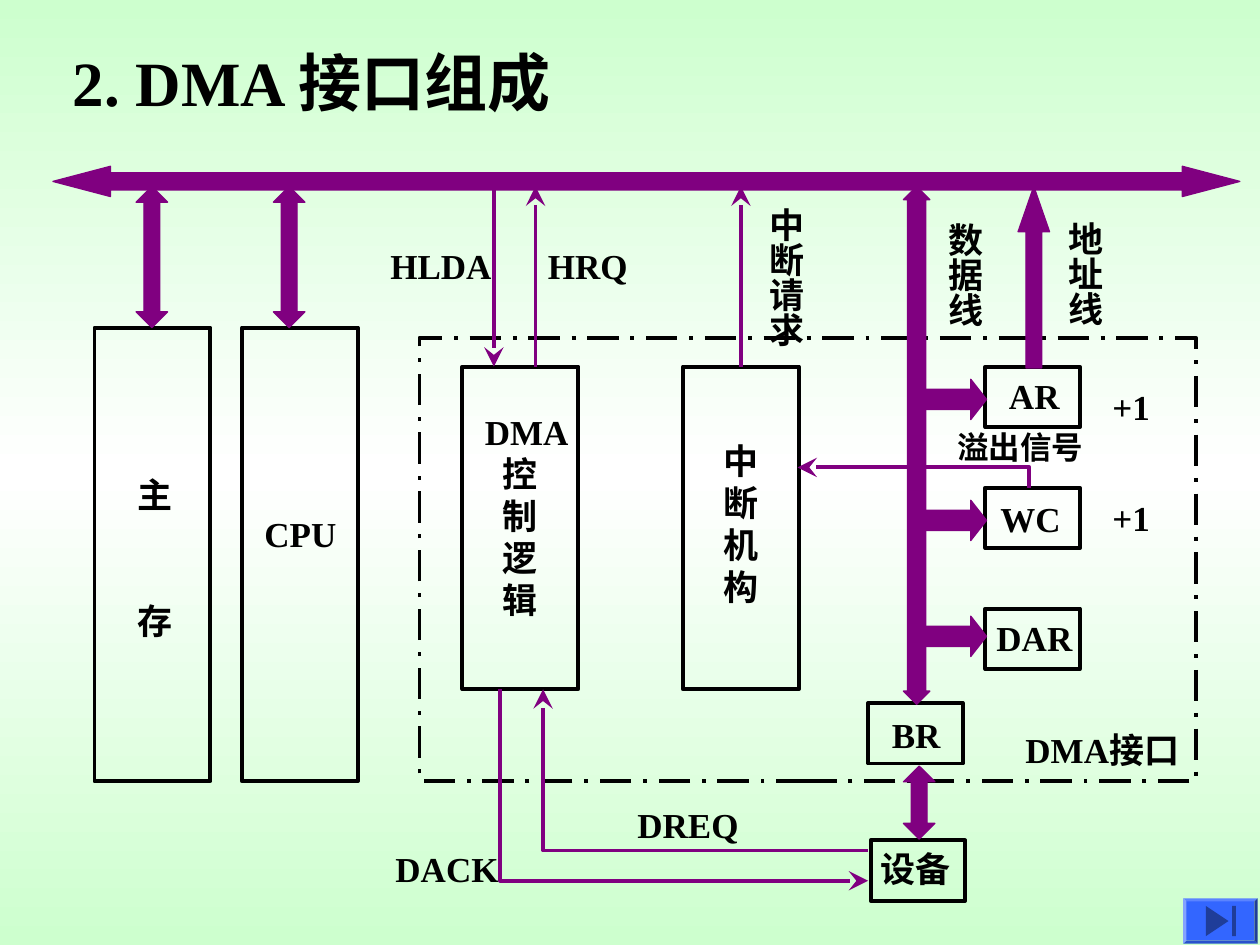
import copy
import pptx
import pptx.util
import pptx.dml.color
import pptx.enum.dml
import pptx.enum.shapes
import pptx.enum.text
import pptx.oxml
import pptx.oxml.ns
from dataclasses import dataclass

Inches, Pt = pptx.util.Inches, pptx.util.Pt
MSO = pptx.enum.shapes.MSO_SHAPE
qn = pptx.oxml.ns.qn


@dataclass
class Theme:
    font: str = "Times New Roman"
    ink: str = "000000"
    bus: str = "800080"
    edge: str = "CDFFCE"
    middle: str = "FFFFFF"
    button: str = "3366FF"
    icon: str = "1F3D99"
    title: int = 36
    label: int = 20
    small: int = 18
    line: float = 2.25
    thin: float = 0.75


T = Theme()

# Boxes: name -> left, top, width, height
REG_W, REG_H, REG_TOP, REG_PITCH = 0.75, 0.48, 2.91, 0.96
BOXES = {
    "memory": (0.75, 2.6, 0.92, 3.6),
    "cpu": (1.92, 2.6, 0.92, 3.6),
    "control": (3.67, 2.91, 0.92, 2.56),
    "interrupt": (5.42, 2.91, 0.92, 2.56),
    "device": (6.91, 6.67, REG_W, REG_H),
    "BR": (6.89, 5.58, REG_W, REG_H),
}
for i, name in enumerate(("AR", "WC", "DAR")):
    BOXES[name] = (7.82, REG_TOP + i * REG_PITCH, REG_W, REG_H)
INTERFACE = (3.33, 2.68, 6.16, 3.52)

# Block arrows: preset, position, adjustments (up-down: head length, then shaft width)
BLOCK_ARROWS = [
    (MSO.LEFT_RIGHT_ARROW, (0.42, 1.32, 9.42, 0.24), (0.57, 1.9)),
    (MSO.UP_DOWN_ARROW, (1.08, 1.48, 0.25, 1.12), (0.89, 0.5)),
    (MSO.UP_DOWN_ARROW, (2.17, 1.48, 0.25, 1.12), (0.89, 0.5)),
    (MSO.UP_DOWN_ARROW, (7.17, 6.08, 0.25, 0.58), (0.46, 0.5)),
    (MSO.UP_DOWN_ARROW, (7.17, 1.48, 0.21, 4.11), (1.49, 0.69)),
    (MSO.UP_ARROW, (8.08, 1.48, 0.25, 1.44), (0.5, 1.44)),
] + [(MSO.RIGHT_ARROW, (7.33, top, 0.5, 0.32), (0.5, 0.39))
     for top in (3.01, 3.97, 4.89)]

# Signal lines: start, end, box joined at the start
SIGNALS = [
    ((3.92, 1.48), (3.92, 2.91), None),
    ((4.25, 2.91), (4.25, 1.48), None),
    ((5.88, 2.91), (5.88, 1.48), "interrupt"),
]
BENT_SIGNALS = [
    [(8.17, 3.87), (8.17, 3.71), (6.33, 3.71)],
    [(6.89, 6.75), (4.31, 6.75), (4.31, 5.47)],
    [(3.97, 5.47), (3.97, 6.99), (6.89, 6.99)],
]

# Labels: text, position
LABELS = [
    ("DMA接口", (8.04, 5.73, 1.49, 0.44)),
    ("CPU", (2, 4.02, 0.77, 0.44)),
    ("中\n断\n机\n构", (5.64, 3.44, 0.48, 1.44)),
    ("设备", (6.89, 6.68, 0.75, 0.44)),
    ("HLDA", (3, 1.89, 1, 0.44)),
    ("HRQ", (4.25, 1.89, 0.83, 0.44)),
    ("AR", (7.91, 2.92, 0.6, 0.44)),
    ("WC", (7.84, 3.9, 0.68, 0.44)),
    ("DAR", (7.81, 4.84, 0.8, 0.44)),
    ("BR", (6.98, 5.61, 0.58, 0.44)),
    ("+1", (8.73, 3.01, 0.5, 0.44)),
    ("+1", (8.73, 3.89, 0.5, 0.44)),
    ("DREQ", (4.96, 6.33, 1, 0.44)),
    ("DACK", (3.04, 6.68, 1.02, 0.44)),
]
VERTICAL_LABELS = [
    ("中断请求", (5.92, 1.55, 0.53, 1.22)),
    ("数据线", (7.34, 1.67, 0.53, 0.94)),
    ("地址线", (8.3, 1.66, 0.53, 0.94)),
]


def rgb(value):
    return pptx.dml.color.RGBColor.from_string(value)


def style(sp, fill=None, line=None, width=T.line):
    sp.shadow.inherit = False
    if fill:
        sp.fill.solid()
        sp.fill.fore_color.rgb = rgb(fill)
    else:
        sp.fill.background()
    if line:
        sp.line.color.rgb = rgb(line)
        sp.line.width = Pt(width)
    else:
        sp.line.fill.background()
    return sp


def add_shape(slide, kind, at, adjustments=(), **look):
    sp = slide.shapes.add_shape(kind, *map(Inches, at))
    for i, value in enumerate(adjustments):
        sp.adjustments[i] = value
    return style(sp, **look)


def add_path(slide, points, close, **look):
    builder = slide.shapes.build_freeform(*map(Inches, points[0]), scale=1.0)
    builder.add_line_segments([tuple(map(Inches, pt)) for pt in points[1:]], close=close)
    return style(builder.convert_to_shape(), **look)


def add_arrowhead(sp):
    ln = sp.line._get_or_add_ln()
    ln.append(ln.makeelement(qn("a:tailEnd"), {"type": "stealth", "w": "lg", "len": "lg"}))


def add_label(slide, text, at, size=T.label, wrap=False, vertical=False):
    sp = slide.shapes.add_textbox(*map(Inches, at))
    tf = sp.text_frame
    tf.text = text
    tf.word_wrap = wrap
    tf.auto_size = pptx.enum.text.MSO_AUTO_SIZE.NONE
    # The free right or bottom margin leaves room for the whole label
    if vertical:
        tf.margin_left = tf.margin_right = Inches(0.05)
        tf.margin_top, tf.margin_bottom = Inches(0.05), 0
        tf._txBody.bodyPr.set("vert", "eaVert")
    else:
        tf.margin_right = 0
    for p in tf.paragraphs:
        for r in p.runs:
            r.font.name, r.font.size, r.font.bold = T.font, Pt(size), True
            r.font.color.rgb = rgb(T.ink)
    return tf


def set_background(slide):
    fill = slide.background.fill
    fill.gradient()
    first = next(slide.element.iter(qn("a:gs")))
    first.addnext(copy.deepcopy(first))
    for stop, pos, color in zip(fill.gradient_stops, (0, 0.5, 1), (T.edge, T.middle, T.edge)):
        stop.position = pos
        stop.color.rgb = rgb(color)
    fill.gradient_angle = 270


def main():
    prs = pptx.Presentation()
    prs.slide_width, prs.slide_height = Inches(10), Inches(7.5)
    slide = prs.slides.add_slide(prs.slide_layouts[6])
    set_background(slide)

    # Interface outline and boxes
    outline = add_shape(slide, MSO.RECTANGLE, INTERFACE, line=T.ink)
    outline.line.dash_style = pptx.enum.dml.MSO_LINE.LONG_DASH_DOT
    boxes = {name: add_shape(slide, MSO.RECTANGLE, at, line=T.ink)
             for name, at in BOXES.items()}

    # Buses
    for kind, at, adjustments in BLOCK_ARROWS:
        add_shape(slide, kind, at, adjustments, fill=T.bus, line=T.bus, width=T.thin)

    # Signals
    for start, end, joined in SIGNALS:
        cx = slide.shapes.add_connector(pptx.enum.shapes.MSO_CONNECTOR.STRAIGHT,
                                        *map(Inches, start + end))
        cx.line.color.rgb = rgb(T.bus)
        cx.line.width = Pt(T.line)
        spPr = cx._element.spPr
        spPr.append(spPr.makeelement(qn("a:effectLst"), {}))
        if joined:
            cx.begin_connect(boxes[joined], 0)
        add_arrowhead(cx)
    for points in BENT_SIGNALS:
        add_arrowhead(add_path(slide, points, False, line=T.bus))

    # Title and labels
    add_label(slide, "2. DMA 接口组成", (0.48, 0.3, 4.52, 0.7), T.title, wrap=True)
    for text, at in LABELS:
        add_label(slide, text, at)
    for text, at in VERTICAL_LABELS:
        add_label(slide, text, at, vertical=True)
    add_label(slide, "溢出信号", (7.5, 3.35, 1.2, 0.4), T.small)
    memory = add_label(slide, "主\n存", (0.99, 3.71, 0.48, 1.44))
    memory.paragraphs[1].space_before = Pt(48)
    control = add_label(slide, "DMA\n控\n制\n逻\n辑", (3.75, 3.21, 0.86, 1.77))
    for p in control.paragraphs[1:]:
        p._p.get_or_add_pPr().set("marL", str(Inches(0.14)))

    # Navigation button
    add_shape(slide, MSO.BEVEL, (9.39, 7.13, 0.59, 0.36), (0.07,), fill=T.button)
    add_path(slide, [(9.57, 7.19), (9.75, 7.31), (9.57, 7.43)], True, fill=T.icon)
    add_shape(slide, MSO.RECTANGLE, (9.78, 7.19, 0.03, 0.24), fill=T.icon)

    prs.save("out.pptx")


if __name__ == "__main__":
    main()
